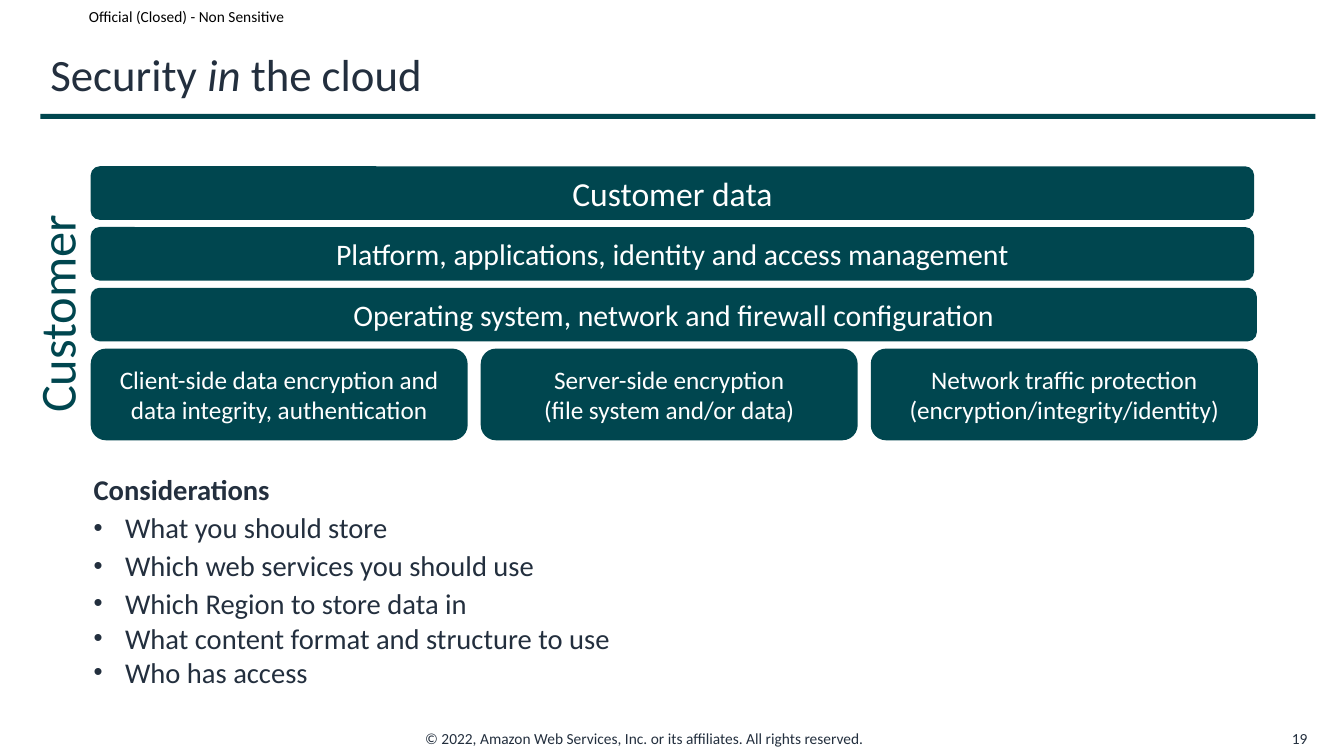
from lxml.etree import SubElement
from pptx import Presentation
from pptx.dml.color import RGBColor
from pptx.enum.shapes import MSO_SHAPE
from pptx.enum.text import MSO_ANCHOR, MSO_AUTO_SIZE, PP_ALIGN
from pptx.oxml.ns import qn
from pptx.util import Pt

TEAL, NAVY = "00464F", "232F3E"


def add_run(p, text, size, color=NAVY, bold=False, italic=False, align=PP_ALIGN.LEFT):
    p.alignment = align
    r = p.add_run()
    r.text = text
    r.font.name = "Calibri"
    r.font.size = Pt(size)
    r.font.color.rgb = RGBColor.from_string(color)
    r.font.bold = bold
    r.font.italic = italic


def add_block(shape, left, top, width, height):
    sp = s.shapes.add_shape(shape, Pt(left), Pt(top), Pt(width), Pt(height))
    sp.shadow.inherit = False
    sp.fill.solid()
    sp.fill.fore_color.rgb = RGBColor.from_string(TEAL)
    sp.line.fill.background()
    return sp


prs = Presentation()
prs.slide_width, prs.slide_height = Pt(960), Pt(540)
s = prs.slides.add_slide(prs.slide_layouts[1])

# Title and rule
title = s.shapes.title
title.left, title.top, title.width, title.height = Pt(28.8), Pt(23.8), Pt(910.8), Pt(57.6)
tf = title.text_frame
tf.auto_size = MSO_AUTO_SIZE.NONE
tf.vertical_anchor = MSO_ANCHOR.MIDDLE
for text, italic in [("Security ", False), ("in", True), (" the cloud", False)]:
    add_run(tf.paragraphs[0], text, 32, italic=italic)
add_block(MSO_SHAPE.RECTANGLE, 28.8, 81.4, 910.8, 3.6)

# Classification, copyright, page number and rotated side label
labels = [
    ("Official (Closed) - Non Sensitive", 56.4, 0.6, 170, 22, 11, "000000", PP_ALIGN.LEFT, 0),
    ("© 2022, Amazon Web Services, Inc. or its affiliates. All rights reserved.",
     296.6, 517, 366.5, 20.9, 11, NAVY, PP_ALIGN.LEFT, 0),
    ("19", 902.9, 517, 38.2, 20.9, 11, NAVY, PP_ALIGN.RIGHT, 0),
    ("Customer", -49.7, 187.2, 178.6, 51.1, 36, TEAL, PP_ALIGN.LEFT, 270),
]
for text, left, top, width, height, size, color, align, rotation in labels:
    sp = s.shapes.add_textbox(Pt(left), Pt(top), Pt(width), Pt(height))
    sp.rotation = rotation
    tf = sp.text_frame
    tf.word_wrap = False
    tf.vertical_anchor = MSO_ANCHOR.MIDDLE
    add_run(tf.paragraphs[0], text, size, color, align=align)

# Customer responsibilities: three full rows, then three columns
rows = [
    ("Customer data", 24, 831),
    ("Platform, applications, identity and access management", 21.3, 831),
    ("Operating system, network and firewall configuration", 21.3, 833),
]
columns = [
    ("Client-side data encryption and data integrity, authentication", 269.3),
    ("Server-side encryption\n(file system and/or data)", 269.3),
    ("Network traffic protection\n(encryption/integrity/identity)", 276.5),
]
blocks = [(text, size, 64.8, 118.8 + 43.4 * i, width, 38.2)
          for i, (text, size, width) in enumerate(rows)]
blocks += [(text, 18, 64.8 + 278.6 * i, 249, width, 65.5)
           for i, (text, width) in enumerate(columns)]
for text, size, left, top, width, height in blocks:
    tf = add_block(MSO_SHAPE.ROUNDED_RECTANGLE, left, top, width, height).text_frame
    tf.word_wrap = True
    tf.vertical_anchor = MSO_ANCHOR.MIDDLE
    for i, line in enumerate(text.split("\n")):
        p = tf.add_paragraph() if i else tf.paragraphs[0]
        add_run(p, line, size, "FFFFFF", align=PP_ALIGN.CENTER)

# Considerations list
body = s.placeholders[1]
body.left, body.top, body.width, body.height = Pt(47.5), Pt(328.3), Pt(441.4), Pt(179.3)
tf = body.text_frame
tf.auto_size = MSO_AUTO_SIZE.NONE
tf.vertical_anchor = MSO_ANCHOR.TOP
tf.margin_left = tf.margin_right = Pt(14.4)
tf.margin_top = tf.margin_bottom = Pt(11.5)
items = [
    ("Considerations", 0.9),
    ("What you should store", 0.9),
    ("Which web services you should use", 0.9),
    ("Which Region to store data in", 0.9),
    ("What content format and structure to use", 0.8),
    ("Who has access", 0.8),
]
for i, (text, spacing) in enumerate(items):
    p = tf.add_paragraph() if i else tf.paragraphs[0]
    pPr = p._p.get_or_add_pPr()
    pPr.set("marL", str(Pt(27.4 if i else 5)))
    pPr.set("indent", str(Pt(-22.4 if i else 0)))
    if i:
        SubElement(pPr, qn("a:buSzPct"), val="90000")
        SubElement(pPr, qn("a:buFont"), typeface="Arial")
        SubElement(pPr, qn("a:buChar"), char="•")
    else:
        SubElement(pPr, qn("a:buNone"))
    p.line_spacing = spacing
    p.space_before = Pt(5 if i else 0)
    add_run(p, text, 20.4, bold=not i)

prs.save("out.pptx")
